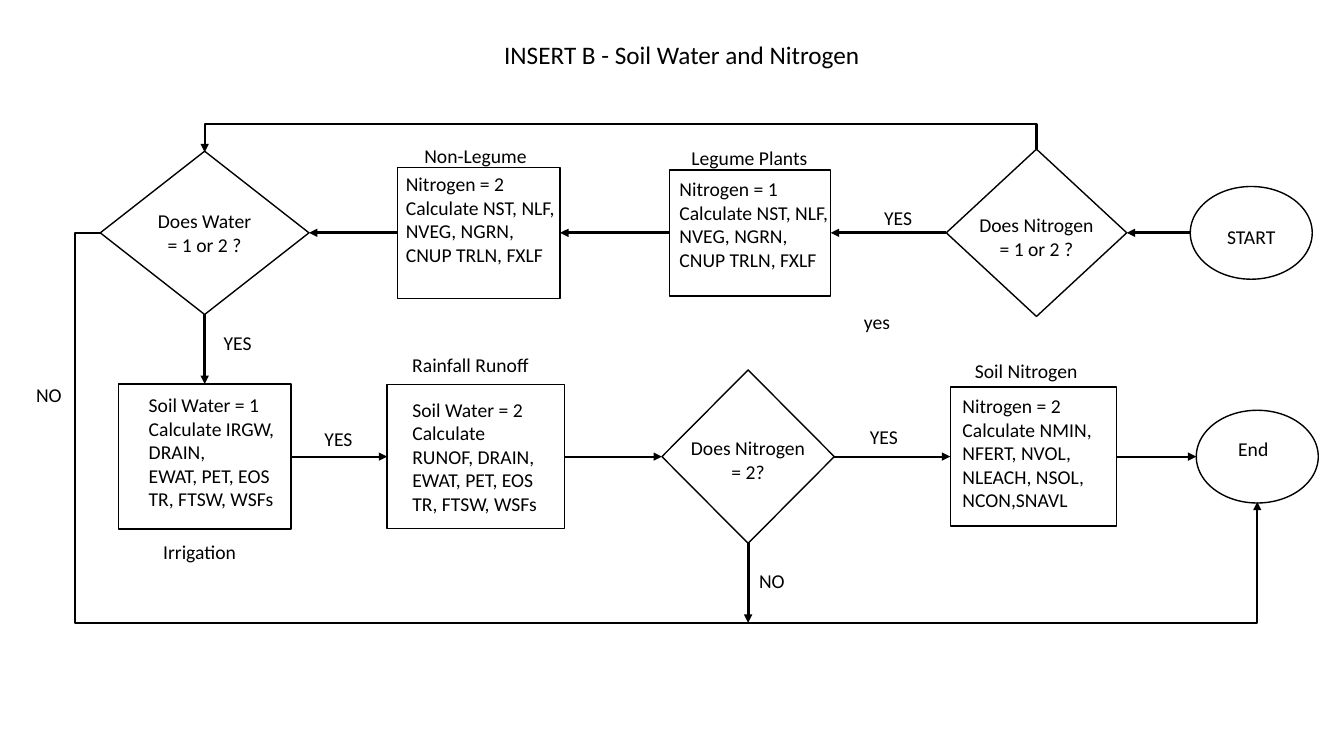
from pptx import Presentation
from pptx.dml.color import RGBColor
from pptx.enum.shapes import MSO_CONNECTOR, MSO_SHAPE
from pptx.enum.text import MSO_ANCHOR, PP_ALIGN
from pptx.oxml.ns import qn
from pptx.util import Inches, Pt
from lxml.etree import SubElement

INK = "000000"
ROWS = {"top": 2.31, "low": 4.53}  # centre lines of the two rows
LEFT, ROOF, RAIL = 0.74, 1.23, 6.18  # tracks of the bent arrows


def write(frame, text, size=14, color=INK, align=PP_ALIGN.LEFT,
          anchor=MSO_ANCHOR.TOP, wrap=True, pad=(0.1, 0.05, 0.1, 0.05)):
    frame.word_wrap = wrap
    frame.vertical_anchor = anchor
    (frame.margin_left, frame.margin_top,
     frame.margin_right, frame.margin_bottom) = [Inches(v) for v in pad]
    frame.text = text
    for para in frame.paragraphs:
        para.alignment = align
        para.font.name = "Calibri"
        para.font.size = Pt(size)
        para.font.color.rgb = RGBColor.from_string(color)


def stroke(item, width, color=INK):
    item.line.color.rgb = RGBColor.from_string(color)
    item.line.width = Pt(width)
    props = item.line._get_or_add_ln()
    SubElement(props, qn("a:tailEnd"), type="triangle")
    SubElement(item._element.spPr, qn("a:effectLst"))


deck = Presentation()
deck.slide_width, deck.slide_height = Inches(13.33), Inches(7.5)
slide = deck.slides.add_slide(deck.slide_layouts[5])
shapes = slide.shapes

# Title
title = shapes.title
title.left, title.top, title.width, title.height = [
    Inches(v) for v in (4.9, 0.34, 4.22, 0.4)]
write(title.text_frame, "INSERT B - Soil Water and Nitrogen", size=18)

# Steps: name, kind, row, centre, width, height, text, padding
BOX, ASK, END = MSO_SHAPE.RECTANGLE, MSO_SHAPE.DIAMOND, MSO_SHAPE.OVAL
steps = [
    ("start", END, "top", 12.41, 1.21, 0.92, "START", (0, 0.08, 0, 0)),
    ("plant", ASK, "top", 10.28, 1.79, 1.66,
     "Does Nitrogen\n= 1 or 2 ?", (0, 0.08, 0, 0)),
    ("legume", BOX, "top", 7.44, 1.6, 1.25,
     "Nitrogen = 1\nCalculate NST, NLF,\nNVEG, NGRN,\nCNUP TRLN, FXLF",
     (0.1, 0.07, 0, 0)),
    ("other", BOX, "top", 4.75, 1.61, 1.3,
     "Nitrogen = 2\nCalculate NST, NLF,\nNVEG, NGRN,\nCNUP TRLN, FXLF",
     (0.08, 0.05, 0, 0)),
    ("water", ASK, "top", 2.03, 2.07, 1.62,
     "Does Water\n= 1 or 2 ?", (0, 0, 0, 0)),
    ("irrigate", BOX, "low", 2.03, 1.71, 1.44,
     "Soil Water = 1\nCalculate IRGW, DRAIN,\nEWAT, PET, EOS\nTR, FTSW, WSFs",
     (0.3, 0.09, 0, 0)),
    ("rain", BOX, "low", 4.72, 1.76, 1.43,
     "Soil Water = 2\nCalculate\nRUNOF, DRAIN,\nEWAT, PET, EOS\nTR, FTSW, WSFs",
     (0.25, 0.13, 0, 0)),
    ("check", ASK, "low", 7.42, 1.71, 1.72,
     "Does Nitrogen\n= 2?", (0, 0.06, 0, 0)),
    ("soil", BOX, "low", 10.25, 1.65, 1.38,
     "Nitrogen = 2\nCalculate NMIN,\nNFERT, NVOL, NLEACH, NSOL, NCON,SNAVL",
     (0.12, 0.07, 0.1, 0)),
    ("end", END, "low", 12.47, 1.21, 0.92, "End", (0, 0, 0.08, 0.16)),
]
nodes = {}
for name, kind, row, mid, wide, high, text, pad in steps:
    node = shapes.add_shape(kind, Inches(mid - wide / 2),
                            Inches(ROWS[row] - high / 2),
                            Inches(wide), Inches(high))
    node.shadow.inherit = False
    node.fill.background()
    node.line.color.rgb = RGBColor.from_string(INK)
    node.line.width = Pt(1)
    if kind == BOX:
        write(node.text_frame, text, pad=pad)
    else:
        write(node.text_frame, text, pad=pad, wrap=False,
              align=PP_ALIGN.CENTER, anchor=MSO_ANCHOR.MIDDLE)
    nodes[name] = node

# Straight arrows: from, side, to, side, width
TOP, WEST, FOOT, EAST = range(4)
links = [
    ("start", WEST, "plant", EAST, 2),
    ("plant", WEST, "legume", EAST, 2),
    ("legume", WEST, "other", EAST, 2),
    ("other", WEST, "water", EAST, 2),
    ("water", FOOT, "irrigate", TOP, 2),
    ("irrigate", EAST, "rain", WEST, 1.5),
    ("rain", EAST, "check", WEST, 1.5),
    ("check", EAST, "soil", WEST, 1.5),
    ("soil", EAST, "end", WEST, 1.5),
    ("check", FOOT, None, None, 2),
]
for tail, exit_side, head, side, width in links:
    if tail == "start":
        x, y = nodes[tail].left, Inches(ROWS["top"])
    else:
        x, y = nodes["check"].left + nodes["check"].width // 2, 0
    if head == "end":
        ex, ey = nodes[head].left, Inches(ROWS["low"])
    else:
        ex, ey = x, Inches(RAIL)
    arrow = shapes.add_connector(MSO_CONNECTOR.STRAIGHT, x, y, ex, ey)
    if tail != "start":
        arrow.begin_connect(nodes[tail], exit_side)
    if head and head != "end":
        arrow.end_connect(nodes[head], side)
    stroke(arrow, width)

# Bent arrows
bends = [
    [(10.28, 1.48), (10.28, ROOF), (2.03, ROOF), (2.03, 1.51)],
    [(1, 2.31), (LEFT, 2.31), (LEFT, RAIL), (12.47, RAIL), (12.47, 4.98)],
]
for points in bends:
    first, *rest = [(Inches(x), Inches(y)) for x, y in points]
    build = shapes.build_freeform(*first)
    build.add_line_segments(rest, close=False)
    bend = build.convert_to_shape()
    bend.fill.background()
    stroke(bend, 1.5)

# Labels: text, left, top, width
labels = [
    ("Non-Legume", 4.11, 1.38, 1.38), ("Legume Plants", 6.76, 1.4, 1.7),
    ("Rainfall Runoff", 3.99, 3.45, 1.67), ("Soil Nitrogen", 9.57, 3.51, 1.69),
    ("Irrigation", 1.52, 5.31, 1.24), ("yes", 8.47, 3.03, 0.6),
    ("YES", 8.67, 1.99, 0.6), ("YES", 2.12, 3.23, 0.6),
    ("YES", 3.12, 4.19, 0.6), ("YES", 8.53, 4.17, 0.6),
    ("NO", 0.26, 3.75, 0.6), ("NO", 7.43, 5.59, 0.6),
]
for text, x, y, wide in labels:
    label = shapes.add_textbox(Inches(x), Inches(y), Inches(wide), Inches(0.34))
    write(label.text_frame, text)

deck.save("out.pptx")
